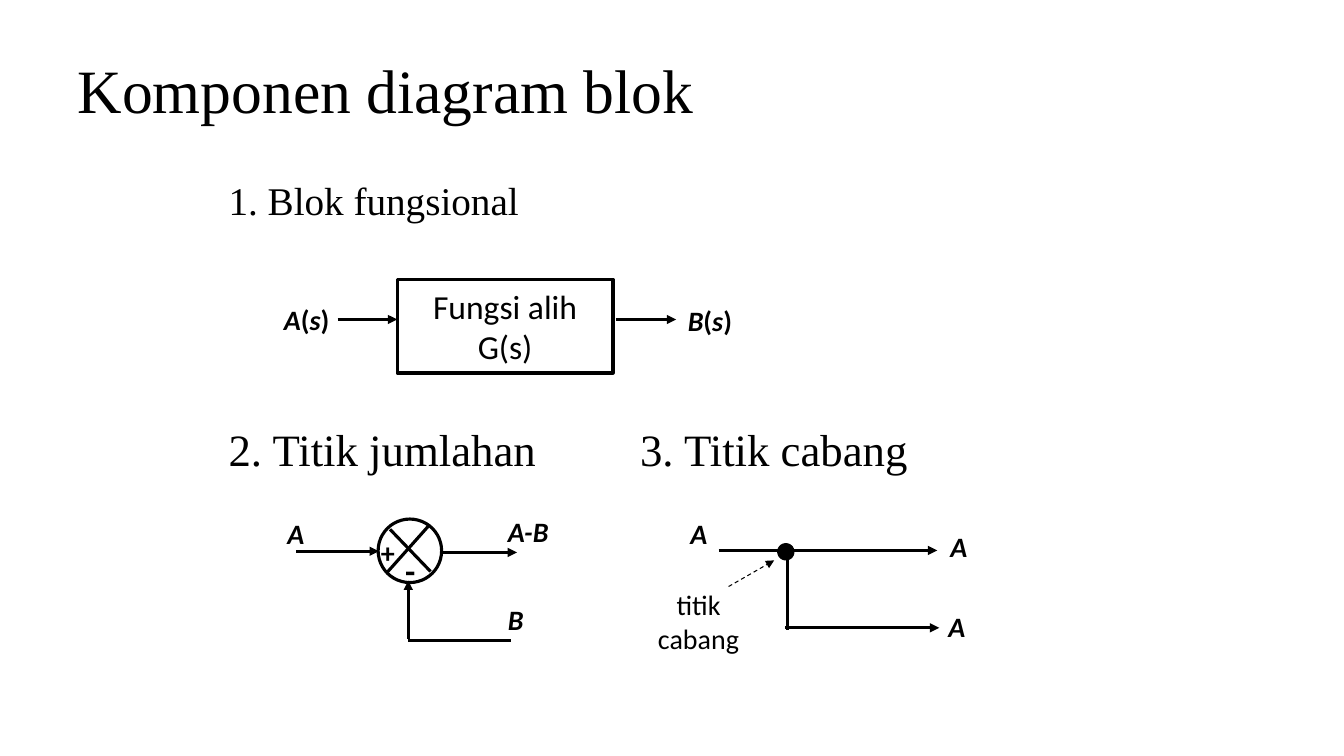
from dataclasses import dataclass

import pptx
import pptx.dml.color
import pptx.enum.dml
import pptx.enum.shapes
import pptx.enum.text
import pptx.oxml
import pptx.oxml.ns
import pptx.util
from pptx.util import Cm, Pt

SHAPE = pptx.enum.shapes.MSO_SHAPE
ALIGN = pptx.enum.text.PP_ALIGN
ANCHOR = pptx.enum.text.MSO_ANCHOR


@dataclass(frozen=True)
class Theme:
    ink: pptx.dml.color.RGBColor = pptx.dml.color.RGBColor(0, 0, 0)
    paper: pptx.dml.color.RGBColor = pptx.dml.color.RGBColor(255, 255, 255)
    serif: str = "Times New Roman"
    sans: str = "Calibri"
    title: int = 44
    section: int = 32
    first_section: int = 28
    block: int = 24
    label: int = 20
    stroke: float = 2.25
    thin: float = 0.75
    dot: float = 6


THEME = Theme()


def apply_format(target, values):
    for attribute, value in values.items():
        setattr(target, attribute, value)


def place(shape, box):
    apply_format(shape, dict(zip(("left", "top", "width", "height"), map(Cm, box))))


def write(paragraph, text, size, face=THEME.sans, **style):
    run = paragraph.add_run()
    run.text = text
    apply_format(run.font, {"size": Pt(size), "name": face, **style})
    run.font.color.rgb = THEME.ink


def add_text(shapes, box, size=THEME.label, runs=(), align=ALIGN.LEFT, face=THEME.sans):
    frame = shapes.add_textbox(*map(Cm, box)).text_frame
    frame.word_wrap = True
    paragraph = frame.paragraphs[0]
    paragraph.alignment = align
    for text, style in runs:
        write(paragraph, text, size, face, **style)
    return paragraph


def add_heading(shapes, left, top, text, size):
    paragraph = add_text(shapes, (left, top, 9.73, 1.52), size, [(text, {})], face=THEME.serif)
    properties = paragraph._p.get_or_add_pPr()
    properties.set("marL", str(Cm(1.27)))
    properties.set("indent", str(-Cm(1.27)))
    return paragraph


def add_symbol(shapes, left, top, text, width=1.27):
    add_text(shapes, (left, top, width, 1.22), runs=[(text, {"bold": True, "italic": True})])


def add_signal(shapes, left, top, name):
    pieces = zip((name, "(", "s", ")"), (True, False, True, False))
    runs = [(text, {"bold": True, "italic": slanted}) for text, slanted in pieces]
    add_text(shapes, (left, top, 1.9, 1.0), runs=runs, align=ALIGN.CENTER)


def add_sign(shapes, box, text, size):
    add_text(shapes, box, size, [(text, {"bold": True})])


def add_outline(shapes, kind, box, fill=THEME.paper, stroke=THEME.stroke):
    shape = shapes.add_shape(kind, *map(Cm, box))
    shape.shadow.inherit = False
    shape.fill.solid()
    shape.fill.fore_color.rgb = fill
    shape.line.color.rgb = THEME.ink
    shape.line.width = Pt(stroke)
    return shape


def add_line(shapes, start, end, arrow=False, stroke=THEME.stroke, dash=None):
    line = shapes.add_connector(
        pptx.enum.shapes.MSO_CONNECTOR.STRAIGHT, *map(Cm, (*start, *end)))
    line.line.color.rgb = THEME.ink
    apply_format(line.line, {"width": Pt(stroke), "dash_style": dash})
    if arrow:
        head = pptx.oxml.parse_xml(
            f'<a:tailEnd {pptx.oxml.ns.nsdecls("a")} type="triangle"/>')
        line.line._get_or_add_ln().append(head)
    line._element.spPr.append(
        pptx.oxml.parse_xml(f'<a:effectLst {pptx.oxml.ns.nsdecls("a")}/>'))


def add_title(slide, text):
    title = slide.shapes.title
    place(title, (1.7, 0.76, 30.48, 3.18))
    apply_format(title.text_frame, {"vertical_anchor": ANCHOR.MIDDLE, "word_wrap": True})
    paragraph = title.text_frame.paragraphs[0]
    apply_format(paragraph, {"alignment": ALIGN.LEFT, "line_spacing": 0.9})
    write(paragraph, text, THEME.title, THEME.serif)


def draw_functional_block(shapes):
    heading = add_heading(shapes, 5.51, 4.45, "1. Blok fungsional", THEME.first_section)
    heading.line_spacing = 0.9
    block = add_outline(shapes, SHAPE.RECTANGLE, (10.01, 7.04, 5.44, 2.36))
    frame = block.text_frame
    apply_format(frame, {"vertical_anchor": ANCHOR.MIDDLE, "word_wrap": True})
    for paragraph, text in ((frame.paragraphs[0], "Fungsi alih"),
                            (frame.add_paragraph(), "G(s)")):
        paragraph.alignment = ALIGN.CENTER
        write(paragraph, text, THEME.block)
    for start, end in ((8.51, 10.01), (15.52, 17.04)):
        add_line(shapes, (start, 8.05), (end, 8.05), arrow=True)
    add_signal(shapes, 16.94, 7.52, "B")
    add_signal(shapes, 6.78, 7.49, "A")


def draw_summing_point(shapes):
    add_heading(shapes, 5.51, 10.49, "2. Titik jumlahan", THEME.section)
    group = shapes.add_group_shape().shapes
    add_outline(group, SHAPE.OVAL, (9.53, 13.08, 1.6, 1.6))
    add_line(group, (9.83, 13.34), (10.85, 14.4))
    add_line(group, (9.75, 14.43), (10.82, 13.23))
    add_sign(group, (9.35, 13.36, 0.91, 0.94), "+", THEME.label)
    add_sign(group, (9.96, 13.72, 0.97, 1.09), "-", THEME.block)
    add_line(group, (7.47, 13.89), (9.55, 13.89), arrow=True)
    add_line(group, (10.29, 16.1), (10.29, 14.63), arrow=True)
    add_line(group, (10.29, 16.13), (12.88, 16.13))
    add_line(group, (11.13, 13.92), (13.03, 13.92), arrow=True)
    add_symbol(group, 6.99, 12.88, "A")
    add_symbol(group, 12.55, 15.06, "B")
    add_symbol(group, 12.55, 12.85, "A-B", width=1.98)


def draw_branch_point(shapes):
    add_heading(shapes, 15.88, 10.49, "3. Titik cabang", THEME.section)
    group = shapes.add_group_shape().shapes
    add_line(group, (18.11, 13.87), (23.62, 13.87), arrow=True)
    add_line(group, (19.84, 13.92), (19.84, 15.88))
    add_line(group, (19.79, 15.82), (23.67, 15.82), arrow=True)
    for left, top in ((17.15, 12.88), (23.7, 13.21), (23.65, 15.24)):
        add_symbol(group, left, top, "A")
    add_outline(group, SHAPE.OVAL, (19.69, 13.79, 0.23, 0.23), THEME.ink, THEME.dot)
    add_text(group, (15.7, 14.68, 3.81, 1.83), runs=[("titik cabang", {})], align=ALIGN.CENTER)
    add_line(group, (18.36, 14.78), (19.51, 14.12), arrow=True, stroke=THEME.thin,
             dash=pptx.enum.dml.MSO_LINE.DASH)


def main():
    deck = pptx.Presentation()
    apply_format(deck, {"slide_width": Cm(33.87), "slide_height": Cm(19.05)})
    slide = deck.slides.add_slide(deck.slide_layouts[5])
    add_title(slide, "Komponen diagram blok")
    draw_functional_block(slide.shapes)
    draw_summing_point(slide.shapes)
    draw_branch_point(slide.shapes)
    deck.save("out.pptx")


if __name__ == "__main__":
    main()
